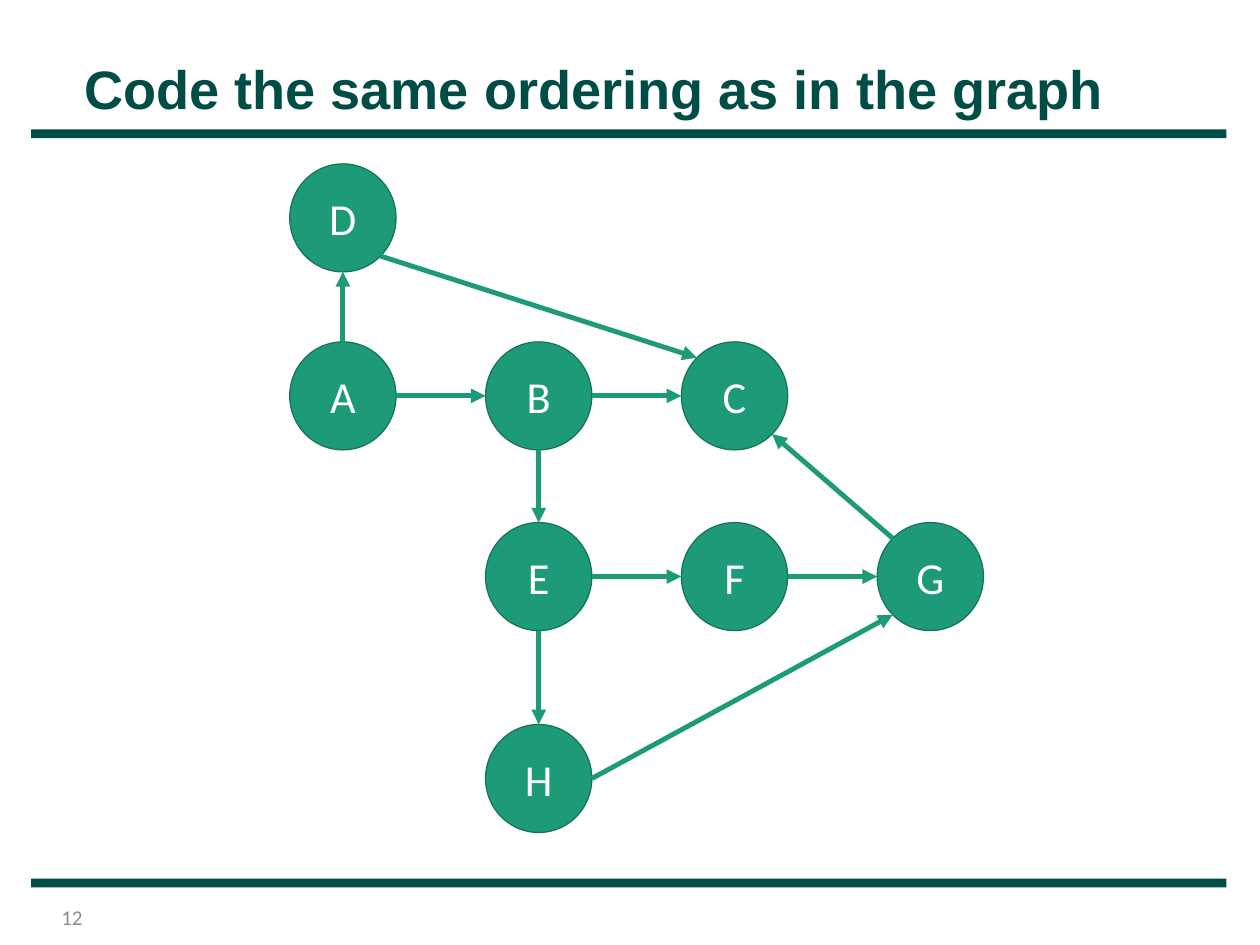
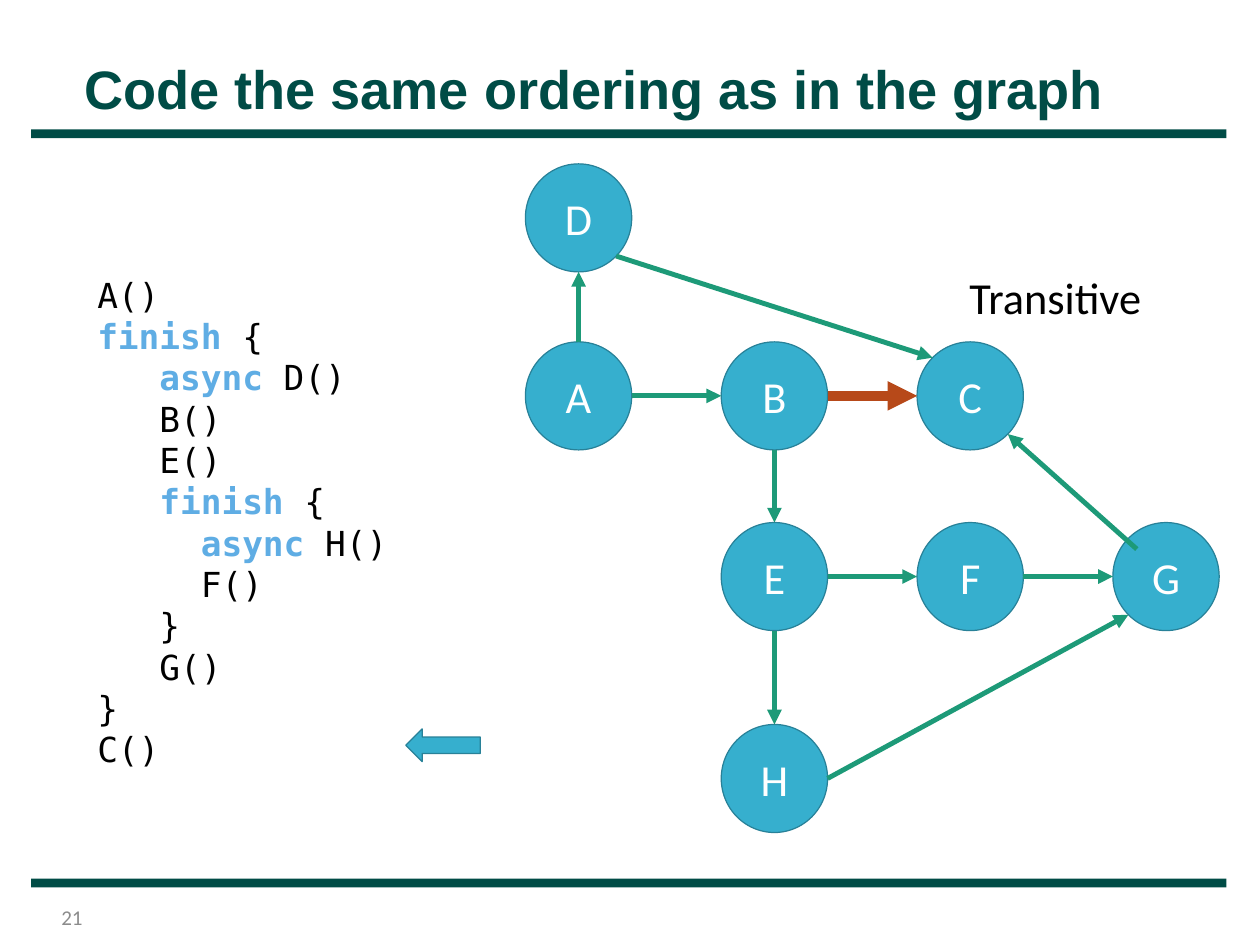
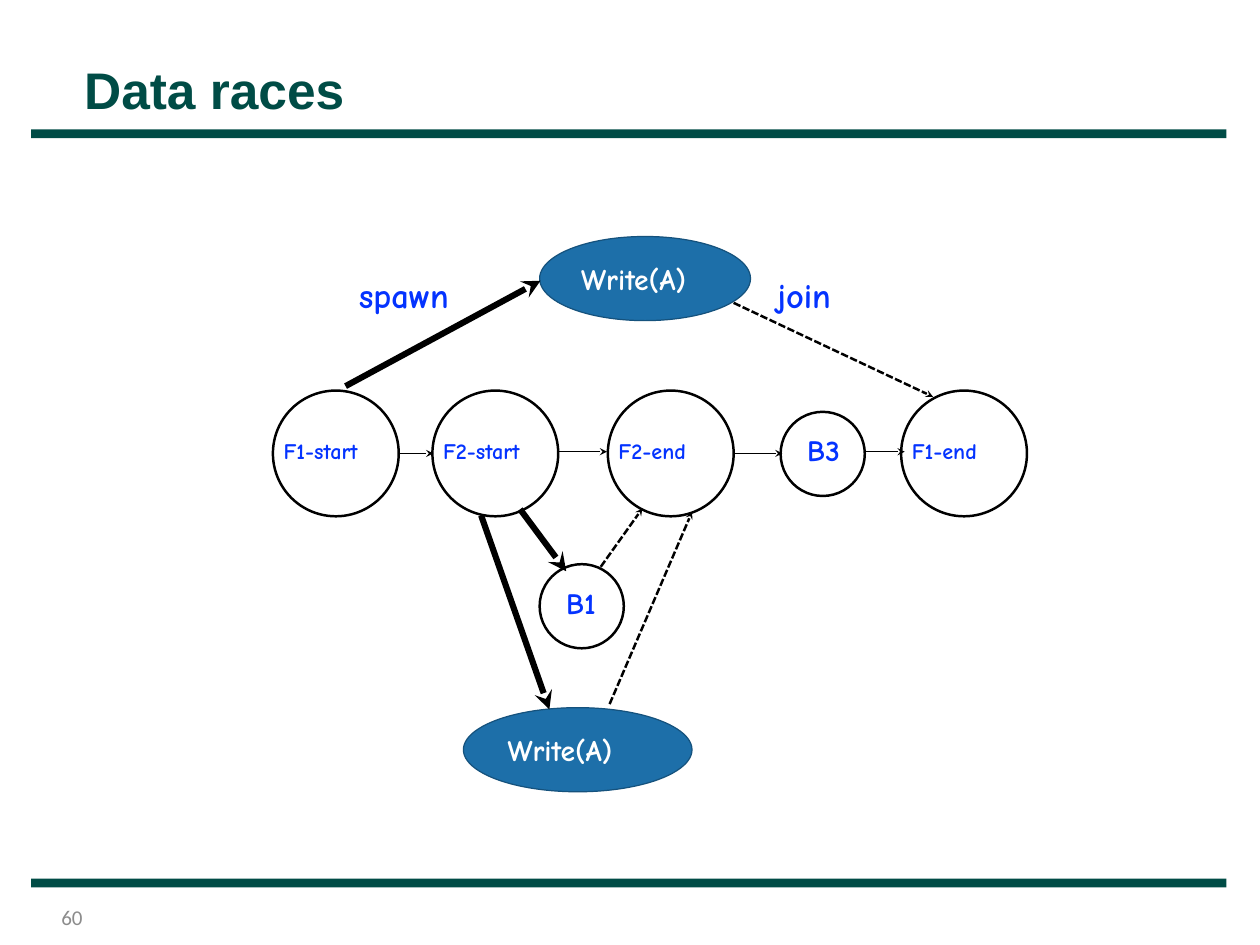
"""Build three slides on task graphs, their code and data races."""
import math
from dataclasses import dataclass

from lxml import etree
from pptx import Presentation
from pptx.dml.color import RGBColor
from pptx.enum import dml, shapes, text
from pptx.oxml import ns
from pptx.util import Inches, Pt


@dataclass(frozen=True)
class Theme:
    """Colours, fonts and type sizes."""
    band: str = "004C46"
    number: str = "8C8C8C"
    black: str = "000000"
    white: str = "FFFFFF"
    green: str = "1D9A78"
    green_edge: str = "157259"
    cyan: str = "36AFCE"
    cyan_edge: str = "288198"
    rust: str = "B74919"
    navy: str = "1D6FA9"
    navy_edge: str = "15527D"
    label: str = "0433FF"
    keyword: str = "5FADE4"
    head_font: str = "Arial"
    body_font: str = "Calibri"
    code_font: str = "DejaVu Sans Mono"
    hand_font: str = "Comic Neue"
    title_size: float = 44
    small_title_size: float = 41.8
    number_size: float = 17.1
    node_size: float = 36
    code_size: float = 28
    edge_label_size: float = 28
    step_size: float = 24
    state_size: float = 18


T = Theme()

ORDER_TITLE = "Code the same ordering as in the graph"
NODES = {"A": (0, 1), "B": (1, 1), "C": (2, 1), "D": (0, 0),
         "E": (1, 2), "F": (2, 2), "G": (3, 2), "H": (1, 3)}
NODE_W, NODE_H, COLUMN_STEP = 1.2, 1.22, 2.21
ROW_TOPS = (1.85, 3.86, 5.9, 8.18)
SITES = {"right": 0, "lower right": 45, "bottom": 90, "lower left": 135,
         "left": 180, "upper left": 225, "top": 270, "upper right": 315}
EDGES = [("A", "right", "B", "left"), ("B", "right", "C", "left"),
         ("B", "bottom", "E", "top"), ("E", "right", "F", "left"),
         ("F", "right", "G", "left"), ("G", "upper left", "C", "lower right"),
         ("A", "top", "D", "bottom"), ("D", "lower right", "C", "upper left"),
         ("E", "bottom", "H", "top"), ("H", "right", "G", "lower left")]

KEYWORDS = ("finish", "async")
CODE = ["A()", "finish {", "   async D()", "   B()", "   E()", "   finish {",
        "     async H()", "     F()", "   }", "   G()", "}", "C()"]

STATES = [("F1-end", 10.17), ("F1-start", 3.08), ("F2-start", 4.88), ("F2-end", 6.86)]
STATE_TOP, STATE_D = 4.41, 1.42
STEPS = [("B1", 6.09, 6.37), ("B3", 8.81, 4.65)]
STEP_D = 0.95
WRITES = [(6.09, 2.67, 2.38, 0.95), (5.23, 7.99, 2.58, 0.95)]
SPAWNS = [((3.9, 4.36), (6.1, 3.17)), ((5.87, 5.75), (6.39, 6.45)),
          ((5.43, 5.82), (6.2, 8.01))]
JOINS = [((6.78, 6.4), (7.25, 5.74)), ((6.88, 7.95), (7.81, 5.78)),
         ((8.28, 3.42), (10.53, 4.48))]
NEXTS = [((4.51, 5.12), (4.89, 5.12)), ((6.3, 5.1), (6.85, 5.1)),
         ((8.28, 5.12), (8.83, 5.12)), ((9.76, 5.1), (10.21, 5.1))]
EDGE_LABELS = [("spawn", 3.93, 1.3), ("join", 8.65, 0.89)]


def apply(obj, values):
    for name, value in values.items():
        setattr(obj, name, value)


def add_run(p, words, font, size, color, bold=False):
    r = p.add_run()
    r.text = words
    apply(r.font, {"name": font, "size": Pt(size), "bold": bold})
    r.font.color.rgb = RGBColor.from_string(color)


def frame(sp, inset=None, indent=0, anchor=text.MSO_ANCHOR.TOP,
          align=text.PP_ALIGN.LEFT, wrap=True):
    tf = sp.text_frame
    apply(tf, {"word_wrap": wrap, "vertical_anchor": anchor,
               "auto_size": text.MSO_AUTO_SIZE.NONE})
    if inset is not None:
        sides = ("left", "top", "right", "bottom")
        apply(tf, {f"margin_{side}": Inches(inset) for side in sides})
    p = tf.paragraphs[0]
    p.alignment = align
    if indent:
        p._p.get_or_add_pPr().set("marL", str(Inches(indent)))
        p._p.get_or_add_pPr().set("indent", "0")
    return p


def add_text(s, box, words, font, size, color, bold=False, **layout):
    sp = s.shapes.add_textbox(*map(Inches, box))
    add_run(frame(sp, **layout), words, font, size, color, bold)


def hand_text(s, box, words, size):
    add_text(s, box, words, T.hand_font, size, T.label, True,
             inset=0.08, indent=0.04, wrap=False)


def add_shape(s, kind, box, fill, line=None, width=1):
    sp = s.shapes.add_shape(kind, *map(Inches, box))
    sp.shadow.inherit = False
    sp.fill.solid()
    sp.fill.fore_color.rgb = RGBColor.from_string(fill)
    if line:
        sp.line.color.rgb = RGBColor.from_string(line)
        sp.line.width = Pt(width)
    else:
        sp.line.fill.background()
    return sp


def add_arrow(s, start, end, color, width, head="triangle", dash=None):
    line = s.shapes.add_connector(shapes.MSO_CONNECTOR.STRAIGHT,
                                  *map(Inches, (*start, *end)))
    line.line.color.rgb = RGBColor.from_string(color)
    line.line.width = Pt(width)
    if dash:
        line.line.dash_style = dash
    etree.SubElement(line.line._get_or_add_ln(), ns.qn("a:tailEnd"), type=head)
    etree.SubElement(line._element.spPr, ns.qn("a:effectLst"))


def base_slide(prs, title, number, title_size=T.title_size):
    s = prs.slides.add_slide(prs.slide_layouts[5])
    for top in (1.46, 9.92):
        add_shape(s, shapes.MSO_SHAPE.RECTANGLE, (0.35, top, 13.49, 0.1), T.band)
    sp = s.shapes.title
    places = zip(("left", "top", "width", "height"), (0.83, 0, 12.54, 1.44))
    apply(sp, {name: Inches(value) for name, value in places})
    p = frame(sp, 0.08, 0.04, text.MSO_ANCHOR.BOTTOM)
    p.line_spacing = 0.85
    add_run(p, title, T.head_font, title_size, T.band, True)
    add_text(s, (0.54, 10.14, 0.49, 0.42), number, T.body_font, T.number_size,
             T.number, anchor=text.MSO_ANCHOR.MIDDLE, align=text.PP_ALIGN.RIGHT)
    return s


def add_graph(s, left, fill, edge, thick=(), starts=None):
    spots = {name: (left + col * COLUMN_STEP, ROW_TOPS[row])
             for name, (col, row) in NODES.items()}

    def site(name, side):
        angle = math.radians(SITES[side])
        x, y = spots[name]
        return (x + NODE_W / 2 * (1 + math.cos(angle)),
                y + NODE_H / 2 * (1 + math.sin(angle)))

    for name, spot in spots.items():
        sp = add_shape(s, shapes.MSO_SHAPE.OVAL, (*spot, NODE_W, NODE_H), fill, edge)
        p = frame(sp, anchor=text.MSO_ANCHOR.MIDDLE, align=text.PP_ALIGN.CENTER)
        add_run(p, name, T.body_font, T.node_size, T.white)
    for source, out, target, into in EDGES:
        pair = source + target
        color, width = (T.rust, 8) if pair in thick else (T.green, 4)
        start = (starts or {}).get(pair) or site(source, out)
        add_arrow(s, start, site(target, into), color, width)


def add_code(s, box):
    sp = s.shapes.add_textbox(*map(Inches, box))
    p = frame(sp)
    for i, row in enumerate(CODE):
        if i:
            p = sp.text_frame.add_paragraph()
        word = next((k for k in KEYWORDS if k in row), None)
        parts = row.partition(word) if word else (row,)
        for part in filter(None, parts):
            color = T.keyword if part == word else T.black
            add_run(p, part, T.code_font, T.code_size, color, part == word)


def graph_slide(prs):
    s = base_slide(prs, ORDER_TITLE, "12")
    add_graph(s, 3.27, T.green, T.green_edge)


def code_slide(prs):
    s = base_slide(prs, ORDER_TITLE, "21")
    add_graph(s, 5.93, T.cyan, T.cyan_edge, thick=("BC",), starts={"GC": (12.83, 6.2)})
    add_code(s, (1, 3.04, 4.3, 5.76))
    add_shape(s, shapes.MSO_SHAPE.LEFT_ARROW, (4.58, 8.23, 0.84, 0.37),
              T.cyan, T.cyan_edge)
    add_text(s, (10.47, 3, 2.88, 0.71), "Transitive", T.body_font, T.node_size,
             T.black, align=text.PP_ALIGN.CENTER)


def race_slide(prs):
    s = base_slide(prs, "Data races", "60", T.small_title_size)
    oval = shapes.MSO_SHAPE.OVAL
    for name, x in STATES:
        add_shape(s, oval, (x, STATE_TOP, STATE_D, STATE_D), T.white, T.black, 2)
        hand_text(s, (x, STATE_TOP + 0.45, 1.29, 0.51), name, T.state_size)
    for name, x, y in STEPS:
        add_shape(s, oval, (x, y, STEP_D, STEP_D), T.white, T.black, 2)
        hand_text(s, (x + 0.18, y + 0.15, 0.63, 0.62), name, T.step_size)
    for box in WRITES:
        sp = add_shape(s, oval, box, T.navy, T.navy_edge)
        p = frame(sp, 0.08, 0.04, text.MSO_ANCHOR.MIDDLE)
        add_run(p, "Write(A)", T.hand_font, T.step_size, T.white, True)
    dashed = dml.MSO_LINE.SQUARE_DOT
    for arrows, width, dash in ((SPAWNS, 5, None), (JOINS, 2, dashed), (NEXTS, 1, None)):
        for start, end in arrows:
            add_arrow(s, start, end, T.black, width, "stealth", dash)
    for name, x, width in EDGE_LABELS:
        hand_text(s, (x, 3.01, width, 0.7), name, T.edge_label_size)


def main():
    prs = Presentation()
    apply(prs, {"slide_width": Inches(14.22), "slide_height": Inches(10.67)})
    for build in (graph_slide, code_slide, race_slide):
        build(prs)
    prs.save("out.pptx")


if __name__ == "__main__":
    main()
